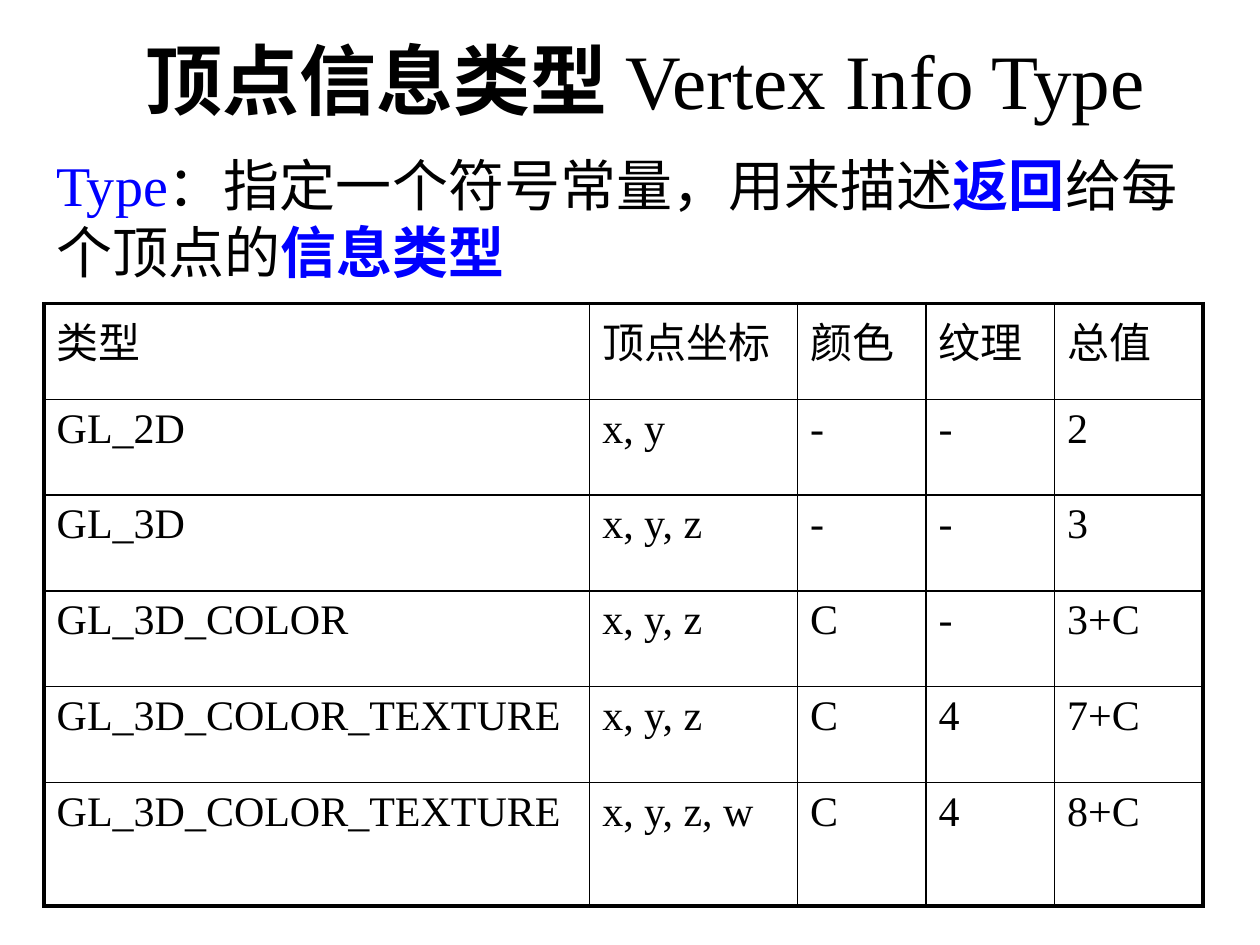
"""Build the slide that explains the vertex information types."""
from dataclasses import dataclass
from typing import Optional

from lxml.etree import SubElement
from pptx import Presentation
from pptx.dml.color import RGBColor
from pptx.enum.text import MSO_ANCHOR as Anchor, MSO_AUTO_SIZE as AutoSize, PP_ALIGN as Align
from pptx.oxml.ns import qn
from pptx.util import Inches, Pt

COLORS = {"ink": "000000", "accent": "0000FF"}
FONT = "Times New Roman"
INNER, OUTER = Pt(1), Pt(2.25)
COLUMN_WIDTHS = [4.33, 1.65, 1.02, 1.02, 1.18]
ROW_HEIGHTS = [0.76] * 5 + [0.98]


@dataclass(frozen=True)
class Span:
    text: str
    color: str = "ink"
    bold: bool = False


@dataclass(frozen=True)
class Block:
    spans: tuple
    box: tuple
    size: float
    align: Optional[Align]
    anchor: Anchor


@dataclass(frozen=True)
class VertexType:
    name: str
    coordinates: str
    color: str
    texture: str
    total: str

    def values(self) -> tuple:
        return self.name, self.coordinates, self.color, self.texture, self.total


HEADING = Block(
    (Span("顶点信息类型 ", bold=True), Span("Vertex Info Type")),
    (0.62, 0.21, 9, 1.25), 44, Align.CENTER, Anchor.TOP,
)
DEFINITION = Block(
    (
        Span("Type", "accent"),
        Span("：指定一个符号常量，用来描述"),
        Span("返回", "accent", True),
        Span("给每个顶点的"),
        Span("信息类型", "accent", True),
    ),
    (0.35, 1.15, 9.29, 1.16), 32, Align.LEFT, Anchor.MIDDLE,
)
VERTEX_TYPES = [
    VertexType("类型", "顶点坐标", "颜色", "纹理", "总值"),
    VertexType("GL_2D", "x, y", "-", "-", "2"),
    VertexType("GL_3D", "x, y, z", "-", "-", "3"),
    VertexType("GL_3D_COLOR", "x, y, z", "C", "-", "3+C"),
    VertexType("GL_3D_COLOR_TEXTURE", "x, y, z", "C", "4", "7+C"),
    VertexType("GL_3D_COLOR_TEXTURE", "x, y, z, w", "C", "4", "8+C"),
]


def add_span(paragraph, span: Span, size: float) -> None:
    """Add one formatted run to a paragraph."""
    run = paragraph.add_run()
    run.text = span.text
    run.font.name = FONT
    run.font.size = Pt(size)
    run.font.bold = span.bold
    run.font.color.rgb = RGBColor.from_string(COLORS[span.color])


def fill_placeholder(placeholder, block: Block) -> None:
    """Place a placeholder and write its spans without a bullet."""
    left, top, width, height = map(Inches, block.box)
    placeholder.left, placeholder.top = left, top
    placeholder.width, placeholder.height = width, height
    frame = placeholder.text_frame
    frame.word_wrap = True
    frame.auto_size = AutoSize.NONE
    frame.vertical_anchor = block.anchor
    paragraph = frame.paragraphs[0]
    paragraph.alignment = block.align
    paragraph.space_before = Pt(0)
    properties = paragraph._p.get_or_add_pPr()
    properties.set("marL", "0")
    properties.set("indent", "0")
    SubElement(properties, qn("a:buNone"))
    for span in block.spans:
        add_span(paragraph, span, block.size)


def add_border(cell, side: str, width: int) -> None:
    """Draw one side of a table cell."""
    line = SubElement(cell._tc.get_or_add_tcPr(), qn(f"a:ln{side}"), w=str(int(width)))
    fill = SubElement(line, qn("a:solidFill"))
    SubElement(fill, qn("a:srgbClr"), val=COLORS["ink"])


def add_type_table(slide, vertex_types: list) -> None:
    """Add the table with a thick frame and thin inner lines."""
    last_row, last_column = len(vertex_types) - 1, len(COLUMN_WIDTHS) - 1
    table = slide.shapes.add_table(
        len(vertex_types), len(COLUMN_WIDTHS), Inches(0.35), Inches(2.41),
        Inches(sum(COLUMN_WIDTHS)), Inches(sum(ROW_HEIGHTS)),
    ).table
    table.first_row = table.horz_banding = False
    for column, width in zip(table.columns, COLUMN_WIDTHS):
        column.width = Inches(width)
    for row, height in zip(table.rows, ROW_HEIGHTS):
        row.height = Inches(height)
    for r, vertex_type in enumerate(vertex_types):
        for c, value in enumerate(vertex_type.values()):
            cell = table.cell(r, c)
            add_span(cell.text_frame.paragraphs[0], Span(value), 24)
            on_frame = {"L": c == 0, "R": c == last_column, "T": r == 0, "B": r == last_row}
            for side, outer in on_frame.items():
                add_border(cell, side, OUTER if outer else INNER)
            cell.fill.background()


def main() -> None:
    """Create and save the presentation."""
    presentation = Presentation()
    presentation.slide_width, presentation.slide_height = Inches(10), Inches(7.5)
    slide = presentation.slides.add_slide(presentation.slide_layouts[1])
    fill_placeholder(slide.shapes.title, HEADING)
    fill_placeholder(slide.placeholders[1], DEFINITION)
    add_type_table(slide, VERTEX_TYPES)
    presentation.save("out.pptx")


if __name__ == "__main__":
    main()
